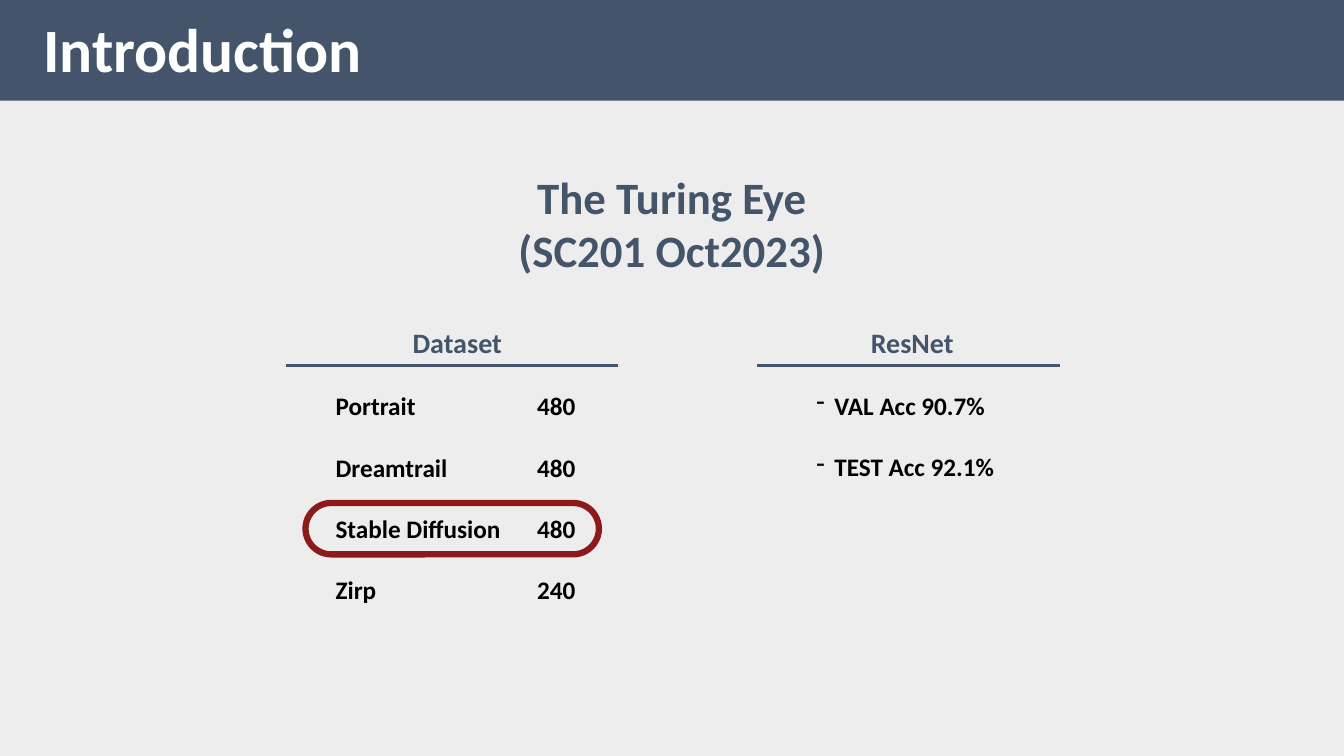
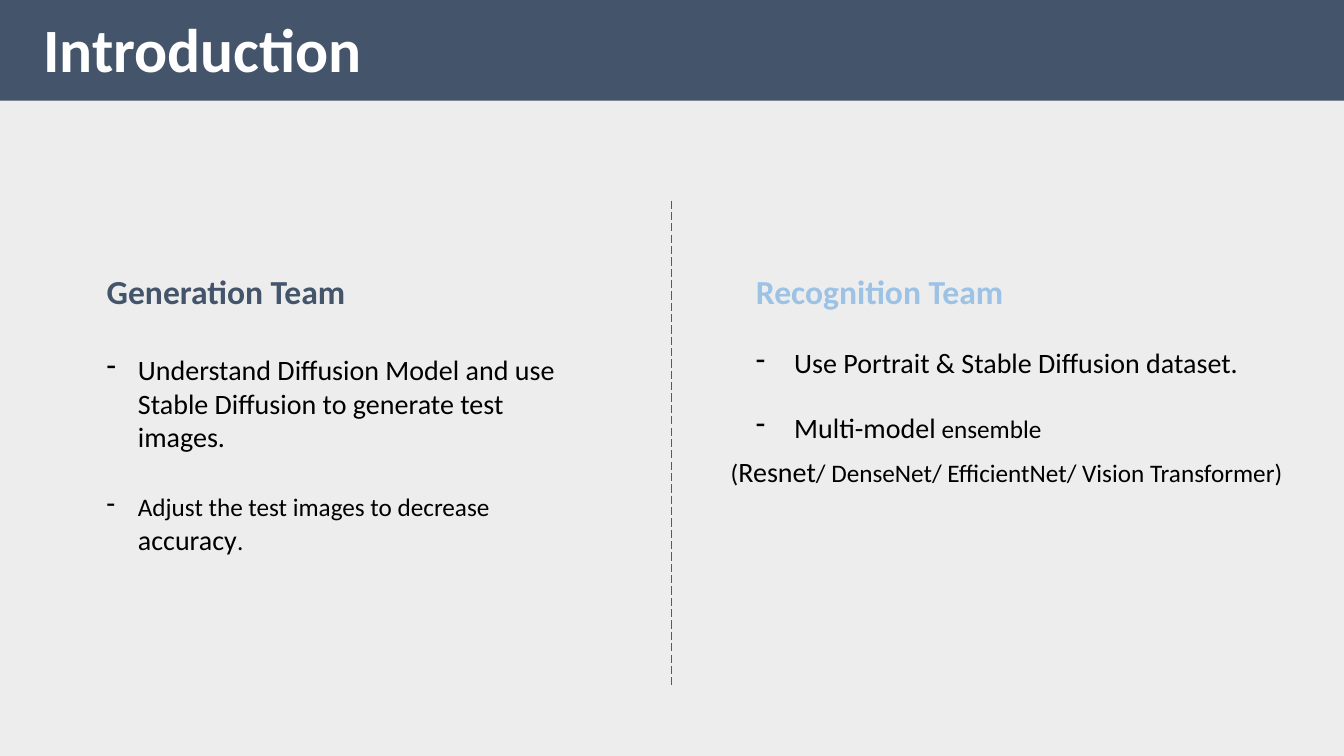
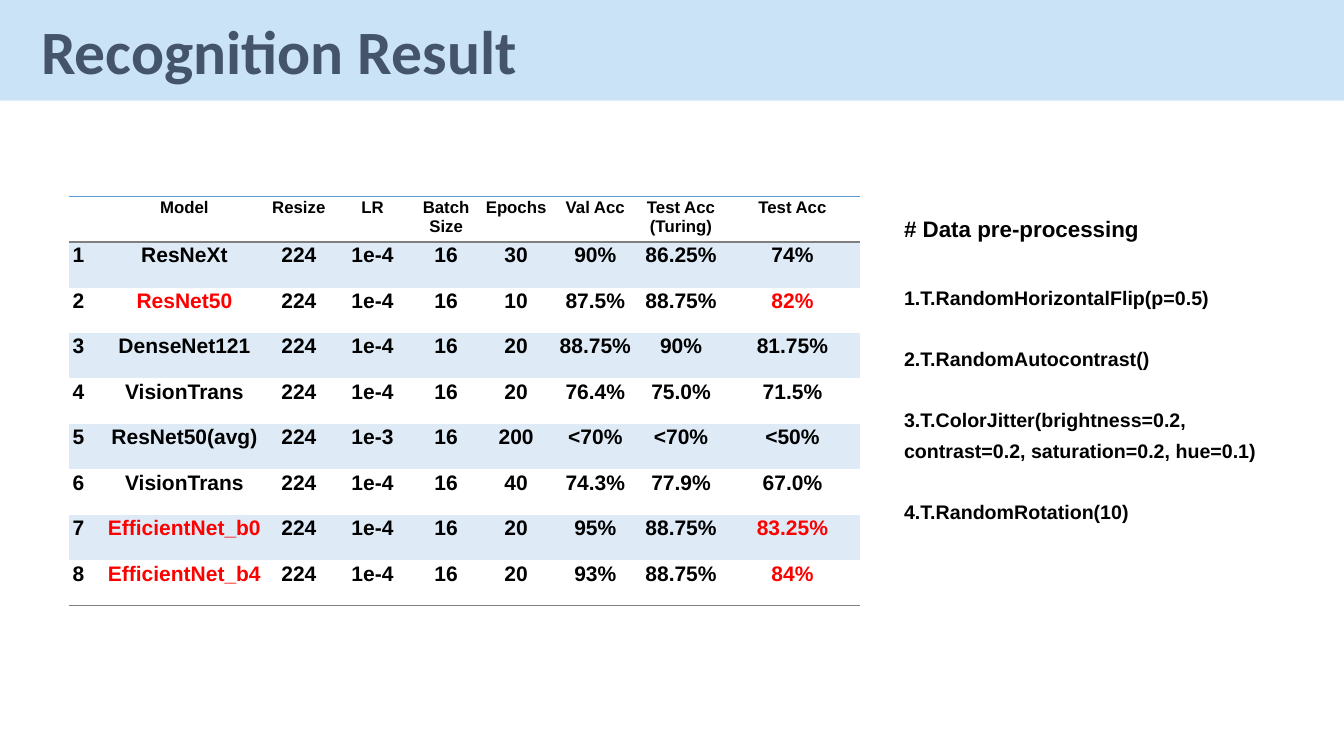
from dataclasses import dataclass
from typing import Optional

from lxml.etree import SubElement
from pptx import Presentation
from pptx.dml.color import RGBColor
from pptx.enum.dml import MSO_LINE
from pptx.enum.shapes import MSO_CONNECTOR, MSO_SHAPE
from pptx.enum.text import MSO_AUTO_SIZE, PP_ALIGN
from pptx.oxml.ns import qn
from pptx.util import Emu, Inches, Pt

HEX = {
    "navy": "44546A", "sky": "CAE3F6", "pale": "EDEDED", "white": "FFFFFF",
    "black": "000000", "wine": "8D1A1A", "soft": "9CC2E5", "red": "FF0000",
    "blue": "5B9BD5", "tint": "DEEBF7", "gray": "7F7F7F", "dark": "595959",
}
WIDE, HIGH = Inches(13.333), Inches(7.5)
NO_STYLE = "{2D5ABB26-0587-4C30-8999-92F81FD0307C}"
CENTER = PP_ALIGN.CENTER


@dataclass
class Box:
    """Left, top, width and height as percent of the slide."""
    left: float
    top: float
    width: float
    height: float

    def emu(self) -> tuple:
        return across(self.left), down(self.top), across(self.width), down(self.height)


@dataclass
class Run:
    text: str
    size: float
    color: str = "black"
    bold: bool = False
    face: str = "Calibri"


@dataclass
class Para:
    runs: list
    align: Optional[PP_ALIGN] = None
    before: float = 0
    dash: float = 0
    tab: float = 0
    lines: float = 0


@dataclass
class Theme:
    back: str
    band: str
    ink: str
    title: Box


DARK = Theme("pale", "navy", "white", Box(2.5, 0.8, 50, 11.2))
LIGHT = Theme("white", "sky", "navy", Box(2.33, 1.07, 70.2, 11.2))


def across(share: float) -> Emu:
    return Emu(round(WIDE * share / 100))


def down(share: float) -> Emu:
    return Emu(round(HIGH * share / 100))


def tone(name: str) -> RGBColor:
    return RGBColor.from_string(HEX[name])


def paint(fill, name: str) -> None:
    fill.solid()
    fill.fore_color.rgb = tone(name)


def style(part, form: dict) -> None:
    for key, value in form.items():
        setattr(part, key, value)


def write(frame, paras: list) -> None:
    for i, item in enumerate(paras):
        para = frame.paragraphs[0] if i == 0 else frame.add_paragraph()
        props = para._p.get_or_add_pPr()
        if item.dash:
            depth = Inches(item.dash)
            props.set("marL", str(depth))
            props.set("indent", str(-depth))
            color = SubElement(props, qn("a:buClr"))
            SubElement(color, qn("a:srgbClr"), val=HEX["black"])
            SubElement(props, qn("a:buChar"), char="-")
        if item.tab:
            tabs = SubElement(props, qn("a:tabLst"))
            SubElement(tabs, qn("a:tab"), pos=str(Inches(item.tab)), algn="l")
        if item.align is not None:
            para.alignment = item.align
        if item.before:
            para.space_before = Pt(item.before)
        if item.lines:
            para.line_spacing = item.lines
        for piece in item.runs:
            run = para.add_run()
            run.text = piece.text
            style(run.font, {"size": Pt(piece.size), "bold": piece.bold, "name": piece.face})
            run.font.color.rgb = tone(piece.color)


def add_text(slide, box: Box, paras: list, pad: float = 0.05) -> None:
    frame = slide.shapes.add_textbox(*box.emu()).text_frame
    style(frame, {
        "word_wrap": True, "auto_size": MSO_AUTO_SIZE.SHAPE_TO_FIT_TEXT,
        "margin_top": Inches(pad), "margin_bottom": Inches(pad),
    })
    write(frame, paras)


def add_line(slide, start: tuple, end: tuple, color: str, weight: float, dash=None) -> None:
    line = slide.shapes.add_connector(
        MSO_CONNECTOR.STRAIGHT, across(start[0]), down(start[1]), across(end[0]), down(end[1]))
    line.line.color.rgb = tone(color)
    line.line.width = Pt(weight)
    if dash:
        line.line.dash_style = dash
    SubElement(line._element.spPr, qn("a:effectLst"))


def start_slide(deck, theme: Theme, title: str):
    """Add a blank slide with its background, top band and title."""
    slide = deck.slides.add_slide(deck.slide_layouts[6])
    paint(slide.background.fill, theme.back)
    band = slide.shapes.add_shape(MSO_SHAPE.RECTANGLE, *Box(0, 0, 100, 13.33).emu())
    band.shadow.inherit = False
    paint(band.fill, theme.band)
    band.line.fill.background()
    add_text(slide, theme.title, [Para([Run(title, 44, theme.ink, True)])])
    return slide


def edge(cell, side: str, color: str) -> None:
    """Draw a one point border on side T or B."""
    line = SubElement(cell._tc.get_or_add_tcPr(), qn(f"a:ln{side}"), w=str(Pt(1)))
    fill = SubElement(line, qn("a:solidFill"))
    SubElement(fill, qn("a:srgbClr"), val=HEX[color])


def add_data(slide) -> None:
    """Slide 1: title, data counts and scores."""
    add_text(slide, Box(29.1, 21.73, 41.78, 15.73), [
        Para([Run(text, 32, "navy", True)], CENTER)
        for text in ("The Turing Eye", "(SC201 Oct2023)")])
    counts = [("Portrait", 480, 22), ("Dreamtrail", 480, 23),
              ("Stable Diffusion", 480, 22), ("Zirp", 240, 22)]
    scores = ["VAL Acc 90.7%", "TEST Acc 92.1%"]
    lists = [
        ("Dataset", Box(24.23, 42.4, 19.58, 38.53), (21.3, 45.98),
         [Para([Run(f"{name}\t{count}", 18, bold=True)], before=gap, tab=2)
          for name, count, gap in counts]),
        ("ResNet", Box(60, 42.4, 15.75, 22), (56.33, 78.9),
         [Para([Run(score, 18, bold=True)], before=22, dash=0.18) for score in scores]),
    ]
    for head, box, (left, right), paras in lists:
        add_text(slide, box, [Para([Run(head, 20, "navy", True)], CENTER)] + paras)
        add_line(slide, (left, 48.4), (right, 48.4), "navy", 2.25)
    ring = slide.shapes.add_shape(MSO_SHAPE.ROUNDED_RECTANGLE, *Box(22.73, 66.53, 21.83, 6.8).emu())
    ring.adjustments[0] = 0.5
    ring.shadow.inherit = False
    ring.fill.background()
    ring.line.color.rgb = tone("wine")
    ring.line.width = Pt(4.5)


def add_teams(slide) -> None:
    """Slide 2: two teams beside a dashed divider."""
    teams = [
        ("Generation Team", "navy", Box(7.2, 35.2, 35.33, 30.13), 29.3, 0.31,
         "Understand Diffusion Model and use Stable Diffusion to generate test images."),
        ("Recognition Team", "soft", Box(55.5, 35.2, 39.53, 15.73), 24.4, 0.38,
         "Use Portrait & Stable Diffusion dataset."),
    ]
    for head, color, box, gap, dash, task in teams:
        add_text(slide, box, [Para([Run(head, 24, color, True)]),
                              Para([Run(task, 20)], before=gap, dash=dash)])
    notes = [
        (Box(7.2, 64.4, 36.08, 9.87), 0.31,
         [Run("Adjust the test images to decrease ", 18), Run("accuracy", 20), Run(".", 18)]),
        (Box(55.5, 53.6, 39.53, 5.87), 0.38, [Run("Multi-model", 20), Run(" ensemble", 18)]),
        (Box(53.63, 59.47, 43.73, 5.87), 0,
         [Run("(", 18), Run("Resnet", 20),
          Run("/ DenseNet/ EfficientNet/ Vision Transformer)", 18)]),
    ]
    for box, dash, runs in notes:
        add_text(slide, box, [Para(runs, dash=dash)])
    add_line(slide, (50, 26.53), (50, 90.67), "dark", 0.75, MSO_LINE.LONG_DASH)


HEADS = ["", "Model", "Resize", "LR", "Batch\nSize", "Epochs", "Val Acc",
         "Test Acc\n(Turing)", "Test Acc"]
TRIALS = [
    ("ResNeXt", "1e-4", "30", "90%", "86.25%", "74%"),
    ("ResNet50", "1e-4", "10", "87.5%", "88.75%", "82%"),
    ("DenseNet121", "1e-4", "20", "88.75%", "90%", "81.75%"),
    ("VisionTrans", "1e-4", "20", "76.4%", "75.0%", "71.5%"),
    ("ResNet50(avg)", "1e-3", "200", "<70%", "<70%", "<50%"),
    ("VisionTrans", "1e-4", "40", "74.3%", "77.9%", "67.0%"),
    ("EfficientNet_b0", "1e-4", "20", "95%", "88.75%", "83.25%"),
    ("EfficientNet_b4", "1e-4", "20", "93%", "88.75%", "84%"),
]
BEST = {2, 7, 8}
SPANS = [2.55, 12.15, 4.88, 6.08, 4.88, 5.55, 6.23, 6.53, 10.05]
ROW = 6.02


def add_grid(slide) -> None:
    rows = [HEADS] + [
        [str(i), model, "224", rate, "16", *rest]
        for i, (model, rate, *rest) in enumerate(TRIALS, 1)]
    box = Box(5.1, 26, sum(SPANS), ROW * len(rows))
    table = slide.shapes.add_table(len(rows), len(SPANS), *box.emu()).table
    style(table, {"first_row": False, "horz_banding": False})
    table._tbl.tblPr.find(qn("a:tableStyleId")).text = NO_STYLE
    for column, span in zip(table.columns, SPANS):
        column.width = across(span)
    for r, row in enumerate(rows):
        table.rows[r].height = down(ROW)
        for c, text in enumerate(row):
            cell = table.cell(r, c)
            style(cell, {"margin_left": Inches(0.04), "margin_right": Inches(0.04),
                         "margin_top": Inches(0.02), "margin_bottom": Inches(0.02)})
            if r == 0:
                edge(cell, "T", "blue")
            if r in (0, len(rows) - 1):
                edge(cell, "B", "gray")
            if r % 2:
                paint(cell.fill, "tint")
            else:
                cell.fill.background()
            color = "red" if r in BEST and c in (1, len(row) - 1) else "black"
            align = CENTER if c else PP_ALIGN.LEFT
            write(cell.text_frame, [
                Para([Run(line, 15 if r else 12, color, True, "Arial")], align)
                for line in text.split("\n") if line])


def add_steps(slide) -> None:
    steps = [
        ("# Data pre-processing", 16, 0),
        ("1.T.RandomHorizontalFlip(p=0.5)", 14, 26),
        ("2.T.RandomAutocontrast()", 14, 21.8),
        ("3.T.ColorJitter(brightness=0.2, contrast=0.2, saturation=0.2, hue=0.1)", 14, 21.8),
        ("4.T.RandomRotation(10)", 14, 21.8),
    ]
    add_text(slide, Box(66.53, 26, 28.58, 48.27), [
        Para([Run(text, size, bold=True, face="Arial")], before=gap, lines=1.31)
        for text, size, gap in steps], 0.1)


def main() -> None:
    deck = Presentation()
    style(deck, {"slide_width": WIDE, "slide_height": HIGH})
    pages = [
        (DARK, "Introduction", [add_data]),
        (DARK, "Introduction", [add_teams]),
        (LIGHT, "Recognition Result", [add_grid, add_steps]),
    ]
    for theme, title, parts in pages:
        slide = start_slide(deck, theme, title)
        for part in parts:
            part(slide)
    deck.save("out.pptx")


if __name__ == "__main__":
    main()
